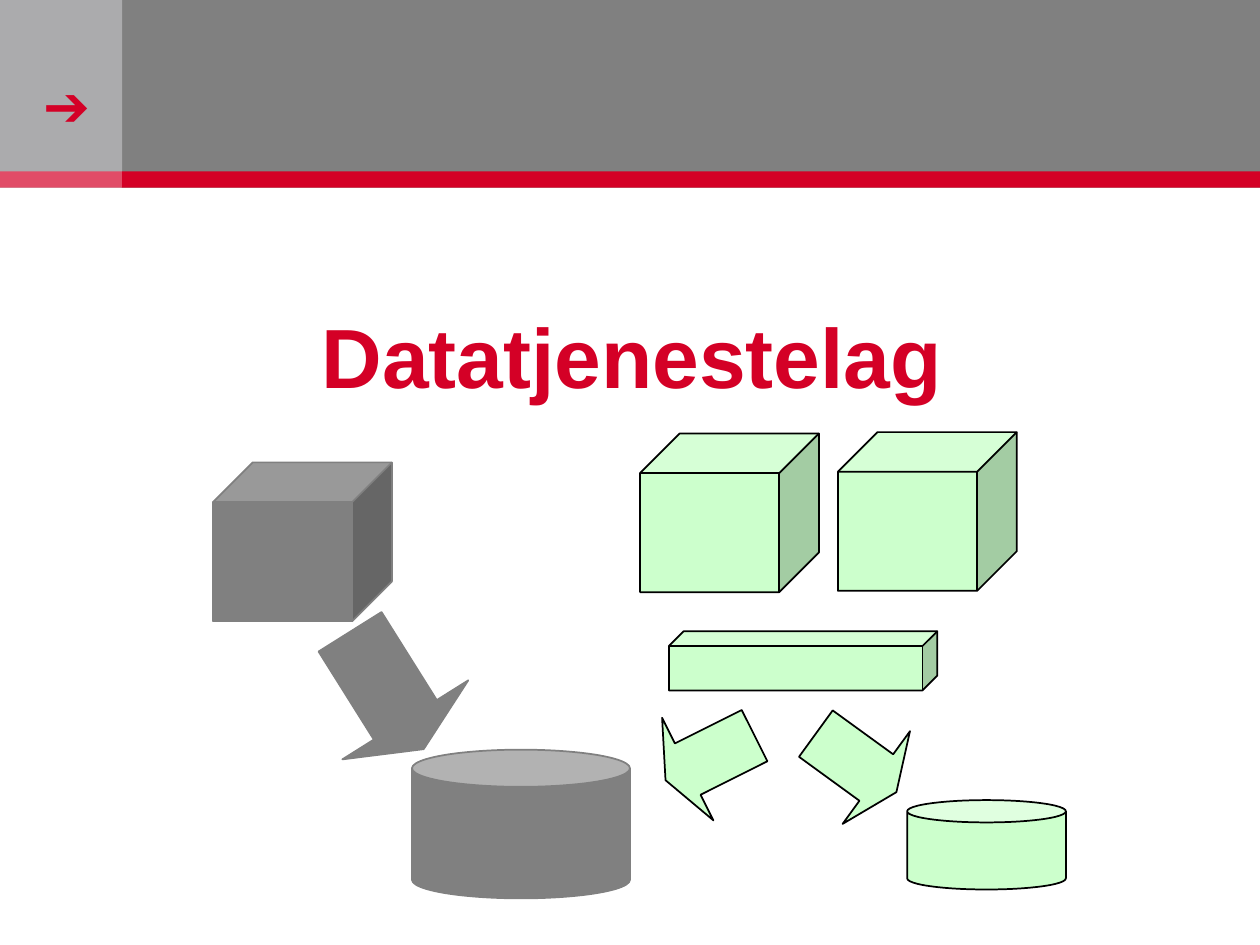
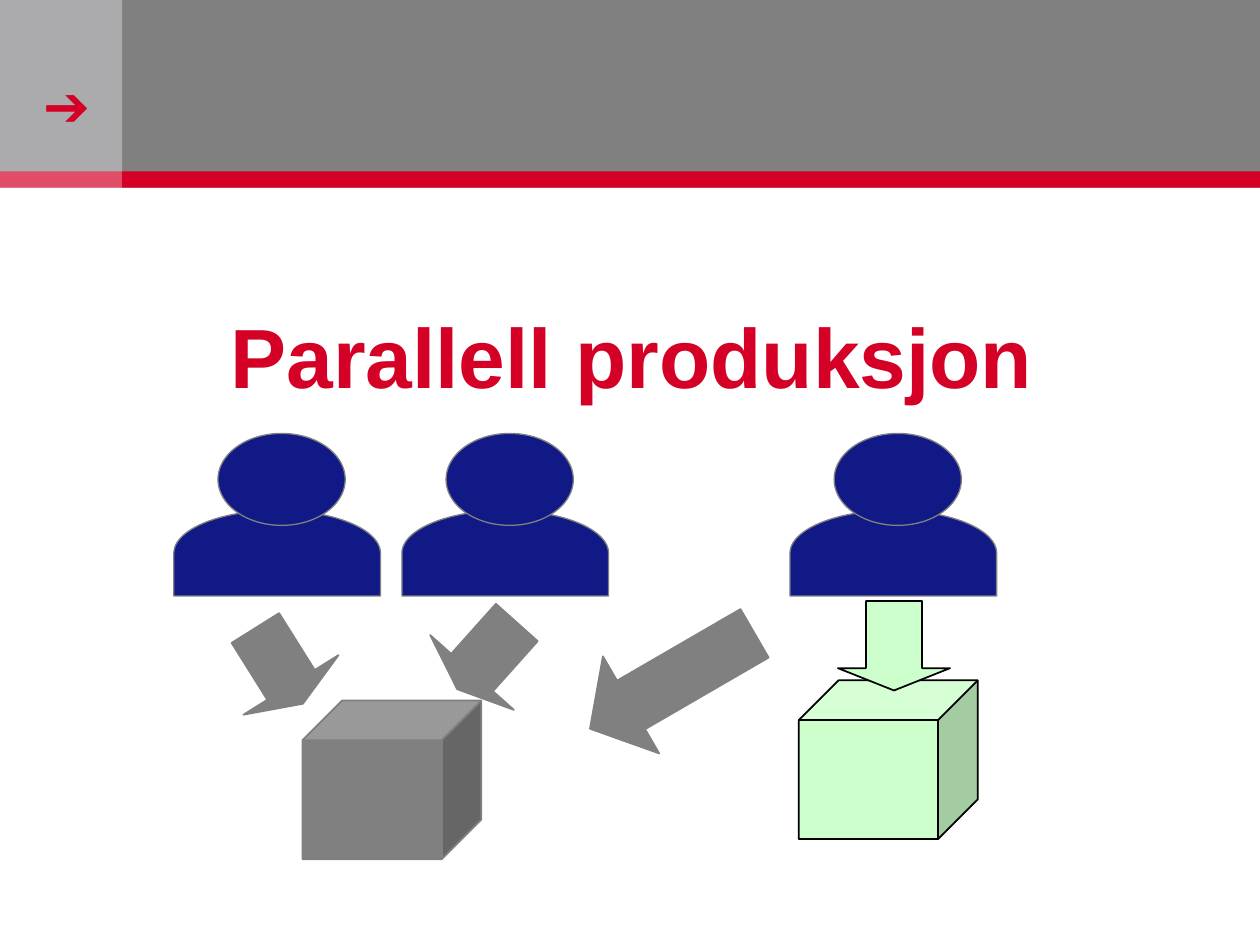
from pptx import Presentation
from pptx.dml.color import RGBColor
from pptx.enum.shapes import MSO_SHAPE
from pptx.enum.text import MSO_ANCHOR, MSO_AUTO_SIZE, PP_ALIGN
from pptx.util import Inches, Pt

RECTANGLE, ELLIPSE, BODY = MSO_SHAPE.RECTANGLE, MSO_SHAPE.OVAL, MSO_SHAPE.FLOWCHART_DELAY
CUBE, CAN, ARROW = MSO_SHAPE.CUBE, MSO_SHAPE.CAN, MSO_SHAPE.UP_ARROW
MIDDLE, CENTER, FIXED = MSO_ANCHOR.MIDDLE, PP_ALIGN.CENTER, MSO_AUTO_SIZE.NONE

RED = "D40026"
GRAY = {"fill": "808080", "line": "808080"}
GREEN = {"fill": "CCFFCC", "line": "000000"}
BLUE = {"fill": "111987", "line": "808080", "weight": 0.75}

BANDS = [
    ((0.96, 0, 9.04, 1.49), "808080"),
    ((0, 0, 0.97, 1.49), "ABABAD"),
    ((0, 1.36, 0.97, 0.13), "E14C67"),
    ((0.97, 1.36, 9.03, 0.13), RED),
]
MARKER = {"text": "➔", "place": (0.25, 0.51, 0.67, 0.64), "format": {"name": "Arial", "size": Pt(32)}}
TITLE_PLACE = (0.98, 1.62, 8.07, 2.4)
TITLE_FORMAT = {"name": "Arial", "size": Pt(48), "bold": True}

CUBE_SIZE = (1.42, 1.26)
SMALL_ARROW = (0.91, 0.79)
USER_ARROW = (0.89, 0.71)
USER_TOP = 3.44

SLIDES = [
    {
        "title": "Datatjenestelag",
        "users": [],
        "parts": [
            (CAN, (3.27, 5.95), (1.73, 1.18), GRAY),
            (CUBE, (1.69, 3.67), CUBE_SIZE, GRAY),
            (ARROW, (2.48, 4.93), (1.18, 1.1), GRAY, 147.9),
            (ARROW, (5.18, 5.62), SMALL_ARROW, GREEN, 243.4),
            (CUBE, (5.31, 5.01), (2.13, 0.47), GREEN),
            (CUBE, (6.65, 3.43), CUBE_SIZE, GREEN),
            (CUBE, (5.08, 3.44), CUBE_SIZE, GREEN),
            (CAN, (7.2, 6.35), (1.26, 0.71), GREEN),
            (ARROW, (6.34, 5.66), SMALL_ARROW, GREEN, 126),
        ],
    },
    {
        "title": "Parallell produksjon",
        "users": [1.73, 6.62, 3.54],
        "parts": [
            (CUBE, (2.4, 5.56), CUBE_SIZE, GRAY),
            (CUBE, (6.34, 5.4), CUBE_SIZE, GREEN),
            (ARROW, (1.77, 4.93), USER_ARROW, GRAY, 147.9),
            (ARROW, (3.42, 4.85), USER_ARROW, GRAY, 221.8),
            (ARROW, (4.89, 4.65), (0.89, 1.51), GRAY, 239.9, 0.424),
            (ARROW, (6.65, 4.77), USER_ARROW, GREEN, 180),
        ],
    },
]


def color(value):
    return RGBColor.from_string(value)


def lengths(place):
    return [Inches(value) for value in place]


def add_part(shapes, kind, position, size, style, rotation=0, head=0.25):
    part = shapes.add_shape(kind, *lengths(position + size))
    part.shadow.inherit = False
    part.rotation = rotation
    part.fill.solid()
    part.fill.fore_color.rgb = color(style["fill"])
    if "line" in style:
        part.line.color.rgb = color(style["line"])
        part.line.width = Pt(style.get("weight", 1))
    else:
        part.line.fill.background()
    if kind == ARROW:
        part.adjustments[0] = 0.5
        part.adjustments[1] = head
    elif kind in (CUBE, CAN):
        part.adjustments[0] = 0.25


def write(box, text, font_format):
    frame = box.text_frame
    frame.word_wrap = True
    frame.auto_size = FIXED
    frame.text = text
    font = frame.paragraphs[0].runs[0].font
    for name, value in font_format.items():
        setattr(font, name, value)
    font.color.rgb = color(RED)
    return frame


def add_bands(page):
    for place, fill in BANDS:
        add_part(page.shapes, RECTANGLE, place[:2], place[2:], {"fill": fill})
    marker = page.shapes.add_textbox(*lengths(MARKER["place"]))
    write(marker, MARKER["text"], MARKER["format"])


def add_title(page, text):
    title = page.shapes.title
    title.left, title.top, title.width, title.height = lengths(TITLE_PLACE)
    frame = write(title, text, TITLE_FORMAT)
    frame.vertical_anchor = MIDDLE
    frame.paragraphs[0].alignment = CENTER


def add_user(page, left):
    user = page.shapes.add_group_shape()
    add_part(user.shapes, BODY, (left + 0.13, USER_TOP + 0.13), (0.68, 1.64), BLUE, 270)
    add_part(user.shapes, ELLIPSE, (left, USER_TOP), (1.01, 0.73), BLUE)


def main():
    deck = Presentation()
    deck.slide_width, deck.slide_height = Inches(10), Inches(7.5)
    for content in SLIDES:
        page = deck.slides.add_slide(deck.slide_layouts[5])
        add_bands(page)
        add_title(page, content["title"])
        for left in content["users"]:
            add_user(page, left)
        for part in content["parts"]:
            add_part(page.shapes, *part)
    deck.save("out.pptx")


if __name__ == "__main__":
    main()
